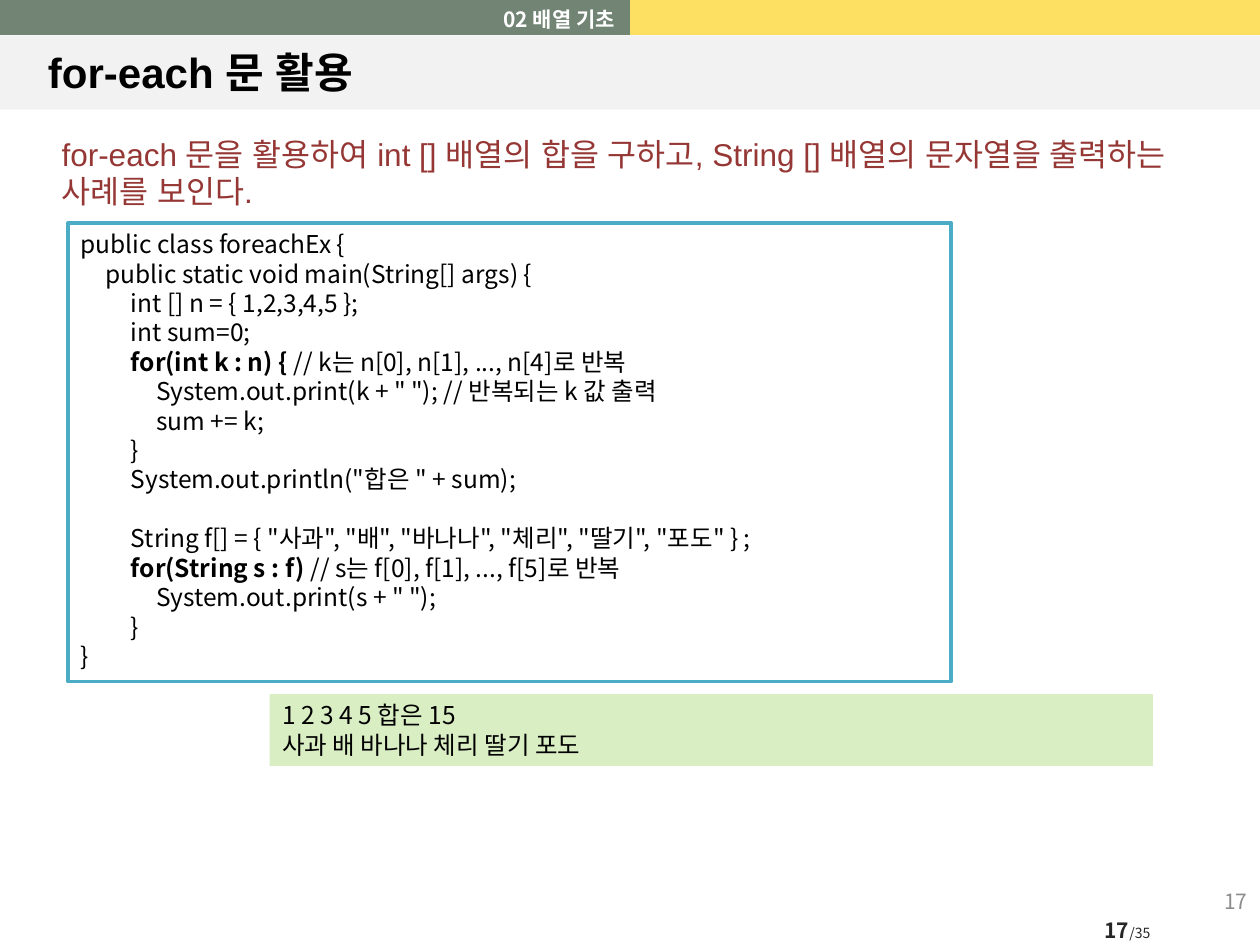
from lxml.etree import SubElement
from pptx import Presentation
from pptx.dml.color import RGBColor
from pptx.enum.shapes import MSO_SHAPE
from pptx.enum.text import MSO_ANCHOR, PP_ALIGN
from pptx.oxml.ns import qn
from pptx.util import Pt

BLACK = RGBColor(0x00, 0x00, 0x00)
WHITE = RGBColor(0xFF, 0xFF, 0xFF)
BAND_GRAY = RGBColor(0xF2, 0xF2, 0xF2)
GREEN = RGBColor(0x72, 0x85, 0x74)
YELLOW = RGBColor(0xFD, 0xDF, 0x62)
DARK_RED = RGBColor(0x95, 0x37, 0x35)
CODE_BLUE = RGBColor(0x4B, 0xAC, 0xC6)
OUTPUT_GREEN = RGBColor(0xDA, 0xEE, 0xC4)
DARK_GRAY = RGBColor(0x26, 0x26, 0x26)
NUMBER_GRAY = RGBColor(0x8C, 0x8C, 0x8C)
LATIN, KOREAN = "Arial", "Noto Sans CJK KR"
NO_TABLE_STYLE = "{2D5ABB26-0587-4C30-8999-92F81FD0307C}"
LINE_RATIO = 1.2
TAB_WIDTH = 14.4

TITLE = "for-each 문 활용"
CHAPTER = "02 배열 기초"
LEAD = ("for-each 문을 활용하여 int [] 배열의 합을 구하고, "
        "String [] 배열의 문자열을 출력하는 사례를 보인다.")
# Each block is a list of lines: (indent level, bold part, plain part)
CODE_BLOCKS = [
    [
        (0, "", "public class foreachEx {"),
        (1, "", "public static void main(String[] args) {"),
        (2, "", "int [] n = { 1,2,3,4,5 };"),
        (2, "", "int sum=0;"),
        (2, "for(int k : n) { ", "// k는 n[0], n[1], ..., n[4]로 반복"),
        (3, "", 'System.out.print(k + " "); // 반복되는 k 값 출력'),
        (3, "", "sum += k;"),
        (2, "", "}"),
        (2, "", 'System.out.println("합은 " + sum);'),
    ],
    [
        (2, "", 'String f[] = { "사과", "배", "바나나", "체리", "딸기", "포도" } ;'),
        (2, "for(String s : f) ", "// s는 f[0], f[1], ..., f[5]로 반복"),
        (3, "", 'System.out.print(s + " ");'),
        (2, "", "}"),
        (0, "", "}"),
    ],
]
OUTPUT = ["1 2 3 4 5 합은 15", "사과 배 바나나 체리 딸기 포도"]


def place(shape, left, top, width, height):
    box = {"left": left, "top": top, "width": width, "height": height}
    for name, value in box.items():
        setattr(shape, name, Pt(value))


def add_run(paragraph, text, size, color, name=KOREAN, bold=False):
    run = paragraph.add_run()
    run.text = text
    for attribute, value in {"size": Pt(size), "name": name, "bold": bold}.items():
        setattr(run.font, attribute, value)
    run.font.color.rgb = color
    SubElement(run.font._element, qn("a:ea"), typeface=name)


def format_paragraph(paragraph, size, align=PP_ALIGN.LEFT, before=0):
    values = {"alignment": align, "space_before": Pt(before),
              "line_spacing": Pt(size * LINE_RATIO)}
    for name, value in values.items():
        setattr(paragraph, name, value)


def next_paragraph(frame):
    first = frame.paragraphs[0]
    return frame.add_paragraph() if first.runs else first


def add_text_box(slide, box, anchor=MSO_ANCHOR.TOP):
    shape = slide.shapes.add_textbox(0, 0, 0, 0)
    place(shape, *box)
    shape.text_frame.word_wrap = True
    shape.text_frame.vertical_anchor = anchor
    return shape.text_frame


def add_panel(slide, box, fill, line=None):
    shape = slide.shapes.add_shape(MSO_SHAPE.RECTANGLE, 0, 0, 0, 0)
    place(shape, *box)
    shape.shadow.inherit = False
    shape.fill.solid()
    shape.fill.fore_color.rgb = fill
    if line is None:
        shape.line.fill.background()
    else:
        shape.line.color.rgb = line
        shape.line.width = Pt(2)
    shape.text_frame.vertical_anchor = MSO_ANCHOR.TOP
    return shape


def add_header(slide):
    """Put the title band and the two-coloured strip behind the placeholders."""
    band = add_panel(slide, (0, 20.2, 720, 42.5), BAND_GRAY)
    strip = slide.shapes.add_table(1, 2, 0, 0, Pt(720), Pt(20.2))
    strip._element.find(".//" + qn("a:tableStyleId")).text = NO_TABLE_STYLE
    for cell, color in zip(strip.table.rows[0].cells, (GREEN, YELLOW)):
        cell.fill.solid()
        cell.fill.fore_color.rgb = color
        cell.margin_top = cell.margin_bottom = 0
        cell.text_frame.paragraphs[0]._p.get_or_add_endParaRPr().set("sz", "800")
    for position, shape in enumerate((band, strip), start=2):
        slide.shapes._spTree.insert(position, shape._element)


def fill_placeholders(slide):
    title, chapter = slide.shapes.title, slide.placeholders[1]
    place(title, 20.2, 20.9, 680.4, 40.3)
    title.text_frame.vertical_anchor = MSO_ANCHOR.MIDDLE
    paragraph = title.text_frame.paragraphs[0]
    paragraph.alignment = PP_ALIGN.LEFT
    add_run(paragraph, TITLE, 24, BLACK, LATIN, bold=True)

    place(chapter, 0, 0, 358.6, 20.2)
    paragraph = chapter.text_frame.paragraphs[0]
    format_paragraph(paragraph, 12, PP_ALIGN.RIGHT)
    properties = paragraph._p.get_or_add_pPr()
    properties.set("marL", "0")
    properties.set("indent", "0")
    SubElement(properties, qn("a:buNone"))
    add_run(paragraph, CHAPTER, 12, WHITE, bold=True)


def add_code(slide):
    size = 14
    frame = add_panel(slide, (38.9, 127.4, 504.7, 262.1), WHITE, CODE_BLUE).text_frame
    for block_number, block in enumerate(CODE_BLOCKS):
        for line_number, (level, bold_part, plain_part) in enumerate(block):
            paragraph = next_paragraph(frame)
            starts_new_block = block_number > 0 and line_number == 0
            format_paragraph(paragraph, size,
                             before=size * LINE_RATIO if starts_new_block else 0)
            stops = SubElement(paragraph._p.get_or_add_pPr(), qn("a:tabLst"))
            for stop in range(1, level + 1):
                SubElement(stops, qn("a:tab"), pos=str(Pt(stop * TAB_WIDTH)), algn="l")
            parts = (("\t" * level, False), (bold_part, True), (plain_part, False))
            for text, bold in parts:
                if text:
                    add_run(paragraph, text, size, BLACK, bold=bold)


def add_output(slide):
    frame = add_panel(slide, (154.1, 396.7, 504.7, 41), OUTPUT_GREEN).text_frame
    for line in OUTPUT:
        paragraph = next_paragraph(frame)
        format_paragraph(paragraph, 14)
        add_run(paragraph, line, 14, BLACK)


def add_page_numbers(slide):
    frame = add_text_box(slide, (609.8, 522, 69.1, 18.7), MSO_ANCHOR.MIDDLE)
    frame.word_wrap = False
    frame.margin_left = frame.margin_right = 0
    paragraph = frame.paragraphs[0]
    paragraph.alignment = PP_ALIGN.CENTER
    add_run(paragraph, "17", 12, DARK_GRAY, bold=True)
    add_run(paragraph, "/35", 8, DARK_GRAY)

    frame = add_text_box(slide, (552.2, 500.4, 167.8, 28.8), MSO_ANCHOR.MIDDLE)
    frame.paragraphs[0].alignment = PP_ALIGN.RIGHT
    add_run(frame.paragraphs[0], "17", 12, NUMBER_GRAY)


def main():
    presentation = Presentation()
    presentation.slide_width, presentation.slide_height = Pt(720), Pt(540)
    slide = presentation.slides.add_slide(presentation.slide_layouts[1])
    add_header(slide)
    fill_placeholders(slide)
    lead = add_text_box(slide, (28.1, 73.4, 670.3, 51.1))
    add_run(lead.paragraphs[0], LEAD, 18, DARK_RED, LATIN)
    add_code(slide)
    add_output(slide)
    add_page_numbers(slide)
    presentation.save("out.pptx")


if __name__ == "__main__":
    main()
